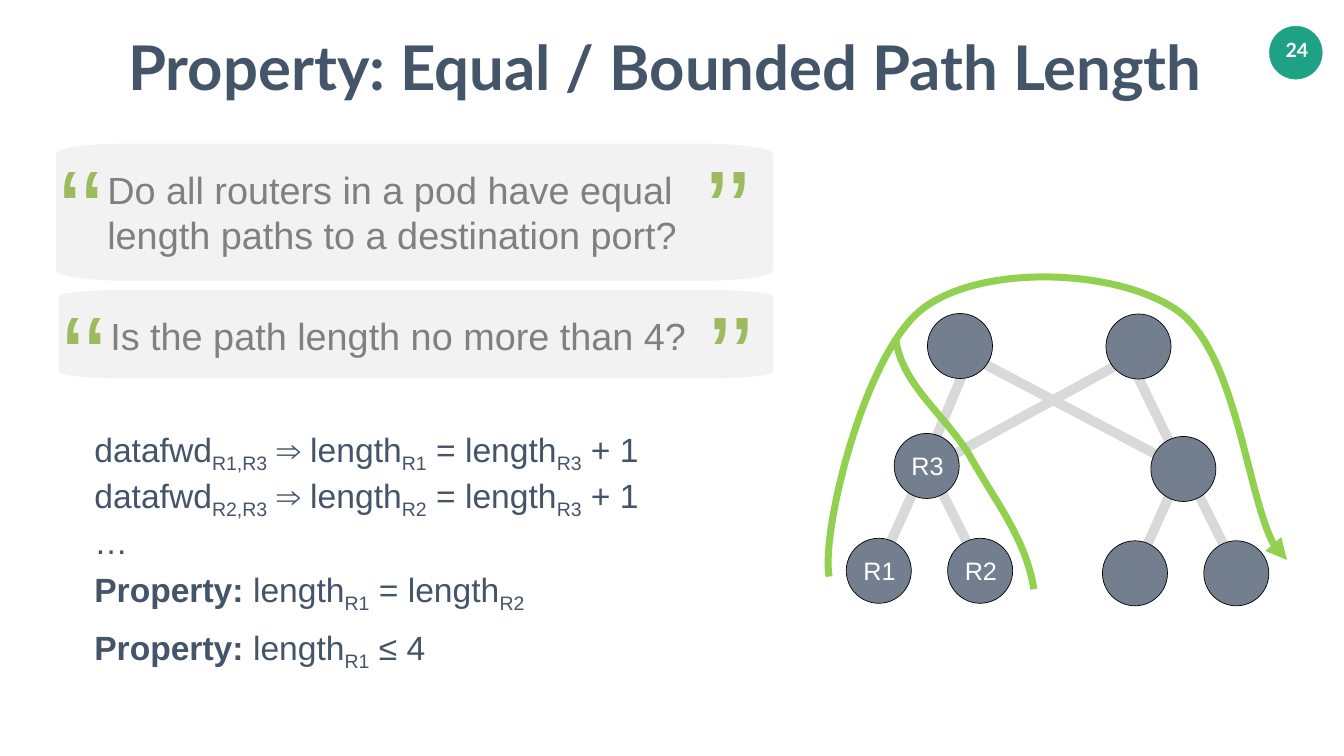
from lxml import etree
from pptx import Presentation, util as u
from pptx.dml.color import RGBColor
from pptx.enum import shapes, text
from pptx.oxml.ns import qn

PX = 9144  # 100 px to the inch
INK, GREY, GREEN, ROUTE, LINK = "445469", "808080", "9BBB5C", "92D050", "D9D9D9"

# Content
TITLE, PAGE = "Property: Equal / Bounded Path Length ", "24"
CARDS = [  # left, top, width, height, corner radii, text height, question
    (111, 285, 1422, 272, (138, 21), 202,
     "Do all routers in a pod have equal length paths to a destination port?"),
    (117, 575, 1416, 176, (137, 13), 111, "Is the path length no more than 4?"),
]
QUOTES = [("‘‘", -48), ("’’", 1235)]  # mark, offset from the card


def rule(router):
    return [("datafwd", ""), (router + ",R3", "sub"), (" ⇒ length", ""), (router, "sub"),
            (" = length", ""), ("R3", "sub"), (" + 1", "")]


FORMULAS = [  # top, width, height, paragraphs of (text, style)
    (846, 1151, 252, [rule("R1"), rule("R2"), [("…", "")]]),
    (1123, 887, 91, [[("Property:", "bold"), (" length", ""), ("R1", "sub"),
                      (" = length", ""), ("R2", "sub")]]),
    (1238, 684, 91, [[("Property:", "bold"), (" length", ""), ("R1", "sub"), (" ≤ 4", "")]]),
]
NODE = 129
NODES = [  # left, top, label
    (1678, 1068, "R1"), (1879, 1068, "R2"), (2186, 1073, ""), (2387, 1073, ""),
    (1773, 860, "R3"), (1839, 622, ""), (2282, 866, ""), (2193, 623, ""),
]
LINKS = [
    (1833, 923, 1949, 647), (1833, 927, 1738, 1138), (1945, 1131, 1841, 923),
    (2342, 932, 2247, 1143), (2454, 1136, 2350, 928), (1853, 923, 2261, 699),
    (2350, 932, 1893, 691), (2345, 931, 2229, 691),
]
ROUTES = [  # frame, start, Bezier segments, arrowhead
    ((1642, 549, 910, 594), (1644, 1144),
     [((1628, 1051), (1715, 701), (1829, 613)), ((1944, 524), (2212, 532), (2333, 615)),
      ((2453, 698), (2480, 1073), (2552, 1111))], True),
    ((1777, 677, 274, 492), (2050, 1169),
     [((2035, 1071), (1974, 995), (1928, 913)), ((1883, 831), (1790, 767), (1777, 677))],
     False),
]

prs = Presentation()
prs.slide_width, prs.slide_height = 2665 * PX, 1500 * PX
s = prs.slides.add_slide(prs.slide_layouts[6])


def rgb(value):
    return RGBColor.from_string(value)


def emu(*lengths):
    return [round(v * PX) for v in lengths]


def paint(sp, fill=None, line=None, width=1):
    sp.shadow.inherit = False
    if fill:
        sp.fill.solid()
        sp.fill.fore_color.rgb = rgb(fill)
    else:
        sp.fill.background()
    if line:
        sp.line.color.rgb = rgb(line)
        sp.line.width = u.Pt(width)
    else:
        sp.line.fill.background()


def write(box, paragraphs, size, color, font="Arial", inset=5, wrap=False,
          align=text.PP_ALIGN.LEFT, spacing=None):
    tf = s.shapes.add_textbox(*emu(*box)).text_frame
    tf.word_wrap = wrap
    tf.auto_size = text.MSO_AUTO_SIZE.SHAPE_TO_FIT_TEXT
    tf.margin_left = tf.margin_top = tf.margin_right = tf.margin_bottom = inset * PX
    for i, runs in enumerate(paragraphs):
        p = tf.add_paragraph() if i else tf.paragraphs[0]
        p.alignment = align
        for words, style in runs:
            r = p.add_run()
            r.text = words
            r.font.name, r.font.size, r.font.bold = font, u.Pt(size), style == "bold"
            r.font.color.rgb = rgb(color)
            if style == "sub":
                r.font._element.set("baseline", "-25000")
            if spacing:
                r.font._element.set("spc", str(spacing))


def outline(frame, start, segments, close):
    """Freeform in a frame; a segment has one point (line) or three (Bezier)."""
    x, y, w, h = frame
    fb = s.shapes.build_freeform(*emu(x, y))
    fb.add_line_segments([emu(x + w, y + h)], close=False)
    sp = fb.convert_to_shape()
    route = sp._element.find(".//" + qn("a:path"))
    for step in list(route):
        route.remove(step)
    for points in [None] + segments:
        tag = "a:moveTo" if points is None else "a:lnTo" if len(points) == 1 else "a:cubicBezTo"
        step = etree.SubElement(route, qn(tag))
        for px, py in points or [start]:
            dx, dy = emu(px - x, py - y)
            etree.SubElement(step, qn("a:pt"), x=str(dx), y=str(dy))
    if close:
        etree.SubElement(route, qn("a:close"))
    return sp


def card_segments(x, y, w, h, rx, ry):
    k = 0.45  # distance of a control point from its corner, in radii
    right, bottom = x + w, y + h
    segments = []
    for cx, cy, sx, sy, flat in ((x, y, 1, 1, False), (right, y, -1, 1, True),
                                 (right, bottom, -1, -1, False), (x, bottom, 1, -1, True)):
        side, level = (cx, cy + sy * ry), (cx + sx * rx, cy)
        bend = [(cx, cy + sy * ry * k), (cx + sx * rx * k, cy)]
        first, last = (level, side) if flat else (side, level)
        segments += [(first,), (*(bend[::-1] if flat else bend), last)]
    return segments


# Page badge, footer panel and title
CENTER = text.PP_ALIGN.CENTER
badge = s.shapes.add_shape(shapes.MSO_SHAPE.OVAL, *emu(2517, 52, 105, 105))
paint(badge, "1EA185", "1EA185", 0.5)
footer = s.shapes.add_shape(shapes.MSO_SHAPE.RECTANGLE, *emu(783, 1380, 1107, 76))
paint(footer, "FFFFFF")
write((2539, 66, 65, 67), [[(PAGE, "bold")]], 28, "FFFFFF", "Lato", 10, align=CENTER)
write((246, 53, 2174, 158), [[(TITLE, "bold")]], 88, INK, "Lato", align=CENTER)

# Question cards
for x, y, w, h, radii, text_height, question in CARDS:
    card = outline((x, y, w, h), (x, y + h - radii[1]),
                   card_segments(x, y, w, h, *radii), True)
    paint(card, "F2F2F2")
    write((x + 92, y + 35, 1250, text_height), [[(question, "")]], 54, GREY,
          inset=10, wrap=True)
    for mark, dx in QUOTES:
        write((x + dx, y - 24, 196, 276), [[(mark, "")]], 166, GREEN,
              inset=10, wrap=True, align=CENTER, spacing=-300)

# Formulas
for y, w, h, paragraphs in FORMULAS:
    write((182, y, w, h), paragraphs, 48, INK)

# Network: links, routers, routes, labels
for ends in LINKS:
    link = s.shapes.add_connector(shapes.MSO_CONNECTOR.STRAIGHT, *emu(*ends))
    link.line.color.rgb = rgb(LINK)
    link.line.width = u.Pt(14)
    etree.SubElement(link._element.spPr, qn("a:effectLst"))
for x, y, _ in NODES:
    paint(s.shapes.add_shape(shapes.MSO_SHAPE.OVAL, *emu(x, y, NODE, NODE)),
          "737F8E", "000000")
for frame, start, segments, arrow in ROUTES:
    route = outline(frame, start, segments, False)
    paint(route, None, ROUTE, 10)
    if arrow:
        etree.SubElement(route.line._get_or_add_ln(), qn("a:tailEnd"), type="triangle")
for x, y, label in NODES:
    if label:
        write((x + 29, y + 29, 75, 71), [[(label, "")]], 36, "FFFFFF")

prs.save("out.pptx")
